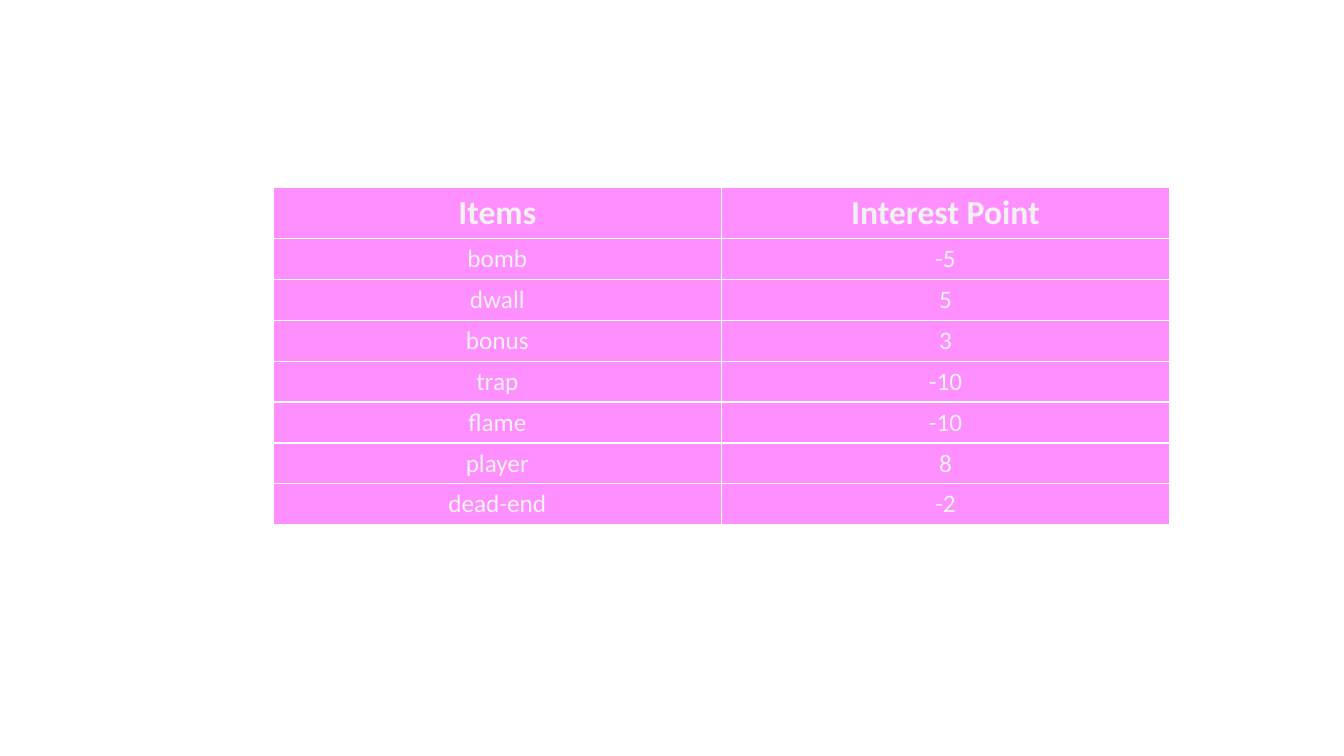
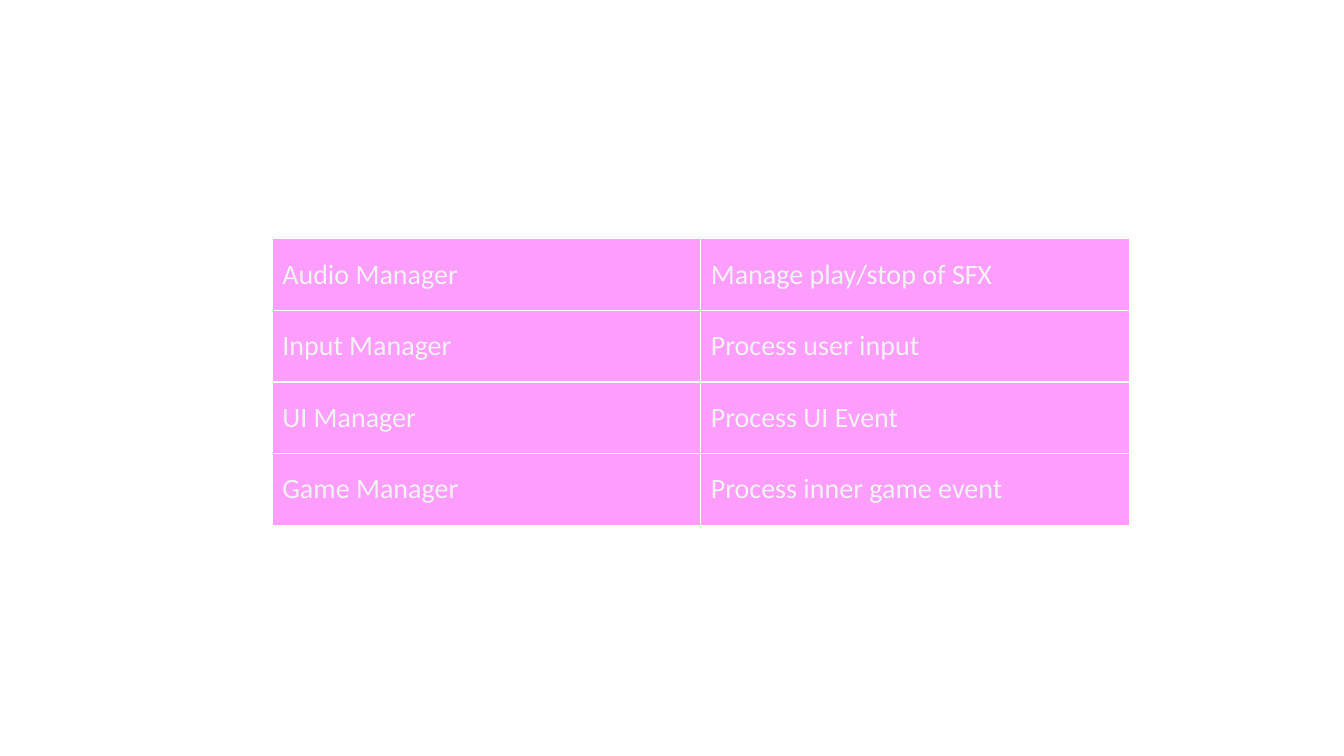
from lxml import etree
from pptx import Presentation
from pptx.dml.color import RGBColor
from pptx.enum import text
from pptx.oxml.ns import qn
from pptx.util import Inches, Pt

MAGENTA = RGBColor(0xFF, 0x00, 0xFF)
PALE_GREY = RGBColor(0xF2, 0xF2, 0xF2)
WHITE = RGBColor(0xFF, 0xFF, 0xFF)
FONT = "Calibri"
BORDER = Pt(1)

INTEREST_POINTS = [
    ("Items", "Interest Point"),
    ("bomb", "-5"),
    ("dwall", "5"),
    ("bonus", "3"),
    ("trap", "-10"),
    ("flame", "-10"),
    ("player", "8"),
    ("dead-end", "-2"),
]
MANAGERS = [
    ("Audio Manager", "Manage play/stop of SFX"),
    ("Input Manager", "Process user input"),
    ("UI Manager", "Process UI Event"),
    ("Game Manager", "Process inner game event"),
]

# One entry per slide; opacity is in percent
SLIDES = [
    dict(rows=INTEREST_POINTS, box=(2.71, 1.86, 8.89, 3.34), opacity=44, size=18,
         header=(0.5, 24), align=text.PP_ALIGN.CENTER, anchor=text.MSO_ANCHOR.TOP),
    dict(rows=MANAGERS, box=(2.7, 2.37, 8.5, 2.84), opacity=38, size=20,
         header=None, align=text.PP_ALIGN.LEFT, anchor=text.MSO_ANCHOR.MIDDLE),
]


def style_cell(cell, opacity):
    """Give the cell a translucent fill and a white border on every side."""
    cell.fill.solid()
    cell.fill.fore_color.rgb = MAGENTA
    props = cell._tc.get_or_add_tcPr()
    color = props.find(qn("a:solidFill")).find(qn("a:srgbClr"))
    etree.SubElement(color, qn("a:alpha"), val=str(opacity * 1000))
    for position, side in enumerate(("lnL", "lnR", "lnT", "lnB")):
        line = etree.Element(qn(f"a:{side}"), w=str(int(BORDER)))
        line_fill = etree.SubElement(line, qn("a:solidFill"))
        etree.SubElement(line_fill, qn("a:srgbClr"), val=str(WHITE))
        props.insert(position, line)


def write_cell(cell, words, size, bold, align, anchor):
    cell.text_frame.text = words
    cell.vertical_anchor = anchor
    paragraph = cell.text_frame.paragraphs[0]
    paragraph.alignment = align
    font = paragraph.runs[0].font
    font.name, font.size, font.bold = FONT, Pt(size), bold
    font.color.rgb = PALE_GREY


def add_grid(slide, rows, box, opacity, size, header, align, anchor):
    height = box[3]
    table = slide.shapes.add_table(
        len(rows), len(rows[0]), *(Inches(v) for v in box)).table
    table.first_row = header is not None
    table.horz_banding = False

    # The header has its own height; the other rows share the rest
    header_height, header_size = header or (0, size)
    body_rows = len(rows) - (header is not None)
    row_height = (height - header_height) / body_rows

    for r, row in enumerate(rows):
        is_header = header is not None and r == 0
        table.rows[r].height = Inches(header_height if is_header else row_height)
        for c, words in enumerate(row):
            cell = table.cell(r, c)
            style_cell(cell, opacity)
            write_cell(cell, words, header_size if is_header else size,
                       is_header, align, anchor)


def main():
    prs = Presentation()
    prs.slide_width, prs.slide_height = Inches(13.33), Inches(7.5)
    for content in SLIDES:
        add_grid(prs.slides.add_slide(prs.slide_layouts[6]), **content)
    prs.save("out.pptx")


if __name__ == "__main__":
    main()
